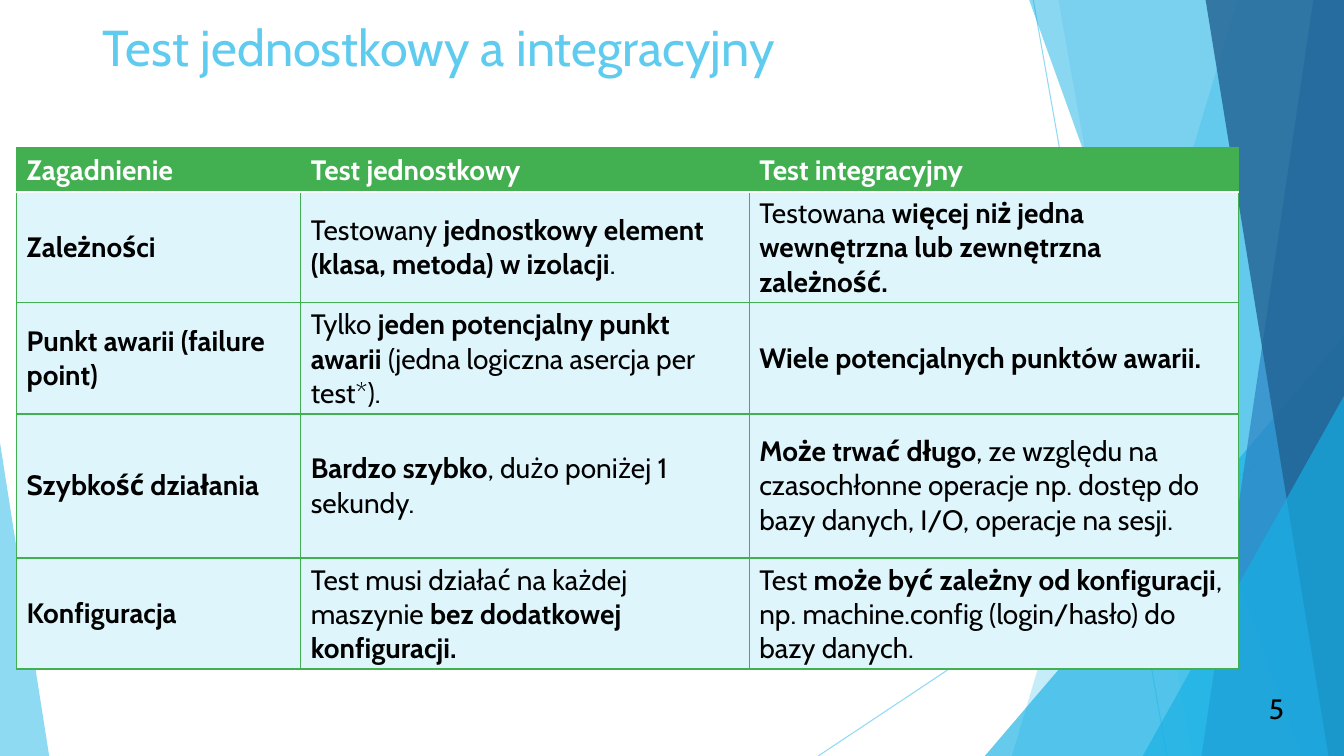
from lxml import etree
from pptx import Presentation
from pptx.dml.color import RGBColor
from pptx.enum.shapes import MSO_CONNECTOR, MSO_SHAPE
from pptx.enum.text import MSO_ANCHOR as Anchor, PP_ALIGN as Align
from pptx.oxml.ns import qn
from pptx.util import Cm, Pt

# Content: text between ** marks is bold
TITLE = "Test jednostkowy a integracyjny"
PAGE_NUMBER = "5"
HEADER = ["Zagadnienie", "Test jednostkowy", "Test integracyjny"]
ROWS = [
    ["Zależności",
     "Testowany **jednostkowy element (klasa, metoda) w izolacji**.",
     "Testowana **więcej niż jedna wewnętrzna lub zewnętrzna zależność.**"],
    ["Punkt awarii (failure point)",
     "Tylko **jeden potencjalny punkt awarii** (jedna logiczna asercja per test*).",
     "**Wiele potencjalnych punktów awarii.**"],
    ["Szybkość działania",
     "**Bardzo szybko**, dużo poniżej 1 sekundy.",
     "**Może trwać długo**, ze względu na czasochłonne operacje np. dostęp do "
     "bazy danych, I/O, operacje na sesji."],
    ["Konfiguracja",
     "Test musi działać na każdej maszynie **bez dodatkowej konfiguracji.**",
     "Test **może być zależny od konfiguracji**, np. machine.config "
     "(login/hasło) do bazy danych."],
]

# Style and measures in centimetres
FONT = "Cabin"
SKY, CYAN, BLUE, NAVY = "5FCBEF", "17B0E4", "2E83C3", "226292"
GREEN, PALE, WHITE, BLACK = "42B051", "DFF5FC", "FFFFFF", "000000"
WIDTH, HEIGHT = 33.87, 19.05
COLUMN_WIDTHS = [7.16, 11.3, 12.34]
ROW_HEIGHTS = [1.1, 2.8, 2.8, 3.63, 2.8]

# Background: lines (x1, y1, x2, y2), bands (top x, bottom x, colour, opacity)
# and triangles (left, top, tip position, colour, opacity), back to front
LINES = [(26.04, 0, 29.41, HEIGHT), (WIDTH, 10.24, 20.62, HEIGHT)]
DECORATIONS = [
    ("band", 31.19, 25.5, SKY, 36),
    ("band", 26.67, 30.05, SKY, 20),
    ("triangle", 24.82, 8.46, 1, CYAN, 66),
    ("band", 25.93, 32.79, CYAN, 50),
    ("band", 33.1, 30.28, BLUE, 70),
    ("band", 30.38, 33.48, NAVY, 80),
    ("triangle", 28.8, 9.98, 1, CYAN, 66),
    ("triangle", 0, 11.15, 0, SKY, 70),
]
LEFT_TRIANGLE_WIDTH = 1.24

presentation = Presentation()
presentation.slide_width, presentation.slide_height = Cm(WIDTH), Cm(HEIGHT)
slide = presentation.slides.add_slide(presentation.slide_layouts[6])
shapes = slide.shapes


def color(hex_value):
    return RGBColor.from_string(hex_value)


def set_opacity(parent, percent):
    for element in parent.iter(qn("a:srgbClr")):
        etree.SubElement(element, qn("a:alpha"), val=str(percent * 1000))


def paint(shape, fill, opacity):
    shape.shadow.inherit = False
    shape.fill.solid()
    shape.fill.fore_color.rgb = color(fill)
    shape.line.fill.background()
    set_opacity(shape.fill._xPr, opacity)


def write(frame, text, size=20, fill=BLACK, bold=False, align=Align.LEFT):
    paragraph = frame.paragraphs[0]
    paragraph.alignment = align
    for index, part in enumerate(text.split("**")):
        if part:
            run = paragraph.add_run()
            run.text = part
            run.font.name, run.font.size = FONT, Pt(size)
            run.font.bold = bold or index % 2 == 1
            run.font.color.rgb = color(fill)


def add_text(text, left, top, width, height, anchor=Anchor.TOP, **text_format):
    frame = shapes.add_textbox(Cm(left), Cm(top), Cm(width), Cm(height)).text_frame
    frame.word_wrap, frame.vertical_anchor = True, anchor
    write(frame, text, **text_format)


def add_band(top_x, bottom_x, fill, opacity):
    builder = shapes.build_freeform(Cm(top_x), Cm(-0.02))
    builder.add_line_segments([(Cm(WIDTH), Cm(-0.02)), (Cm(WIDTH), Cm(HEIGHT)),
                               (Cm(bottom_x), Cm(HEIGHT))], close=True)
    paint(builder.convert_to_shape(), fill, opacity)


def add_triangle(left, top, tip, fill, opacity):
    width = WIDTH - left if tip else LEFT_TRIANGLE_WIDTH
    shape = shapes.add_shape(MSO_SHAPE.ISOSCELES_TRIANGLE, Cm(left), Cm(top),
                             Cm(width), Cm(HEIGHT - top))
    shape.adjustments[0] = tip
    paint(shape, fill, opacity)


def set_borders(cell, **sides):
    properties = cell._tc.get_or_add_tcPr()
    for index, side in enumerate("LRTB"):
        fill, points = sides.get(side, (GREEN, 1))
        line = etree.Element(qn("a:ln" + side), w=str(Pt(points)))
        solid = etree.SubElement(line, qn("a:solidFill"))
        etree.SubElement(solid, qn("a:srgbClr"), val=fill)
        properties.insert(index, line)


# Background
for x1, y1, x2, y2 in LINES:
    connector = shapes.add_connector(MSO_CONNECTOR.STRAIGHT,
                                     Cm(x1), Cm(y1), Cm(x2), Cm(y2))
    connector.line.width = Pt(0.75)
    connector.line.color.rgb = color(SKY)
    set_opacity(connector.line._ln, 70)
    etree.SubElement(connector._element.spPr, qn("a:effectLst"))

for kind, *values in DECORATIONS:
    (add_band if kind == "band" else add_triangle)(*values)

# Title
add_text(TITLE, 2.34, 0.28, 29.21, 3.68, size=36, fill=SKY)

# Comparison table
table = shapes.add_table(len(ROW_HEIGHTS), len(COLUMN_WIDTHS), Cm(0.42), Cm(3.73),
                         Cm(sum(COLUMN_WIDTHS)), Cm(sum(ROW_HEIGHTS))).table
for column, width in zip(table.columns, COLUMN_WIDTHS):
    column.width = Cm(width)
for row, height in zip(table.rows, ROW_HEIGHTS):
    row.height = Cm(height)

divider = (WHITE, 1.5)
for row_index, texts in enumerate([HEADER] + ROWS):
    is_header = row_index == 0
    for column_index, text in enumerate(texts):
        cell = table.cell(row_index, column_index)
        cell.vertical_anchor = Anchor.MIDDLE
        cell.fill.solid()
        cell.fill.fore_color.rgb = color(GREEN if is_header else PALE)
        write(cell.text_frame, text, fill=WHITE if is_header else BLACK,
              bold=is_header or column_index == 0)
        set_borders(cell, **({"B": divider} if is_header
                             else {"T": divider} if row_index == 1 else {}))

# Page number
add_text(PAGE_NUMBER, 30.71, 17.35, 1.9, 1.02, anchor=Anchor.MIDDLE, align=Align.RIGHT)

presentation.save("out.pptx")
